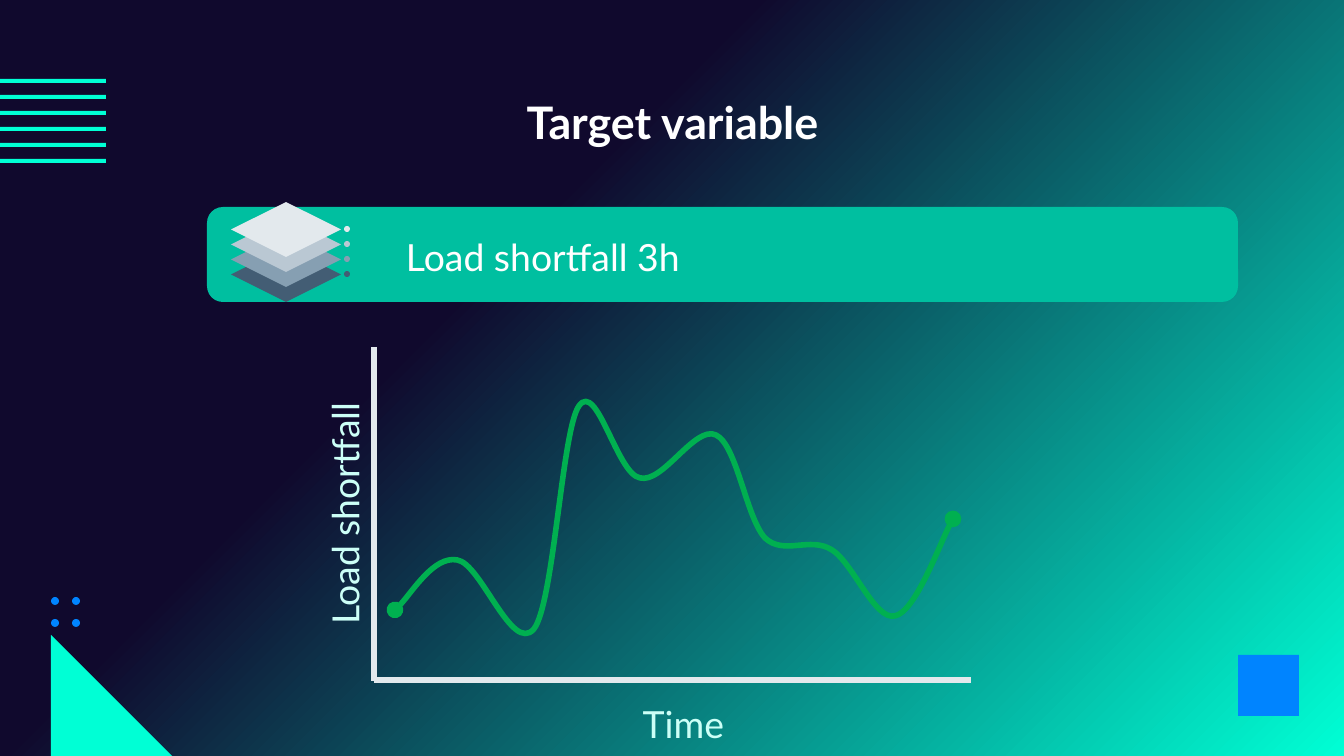
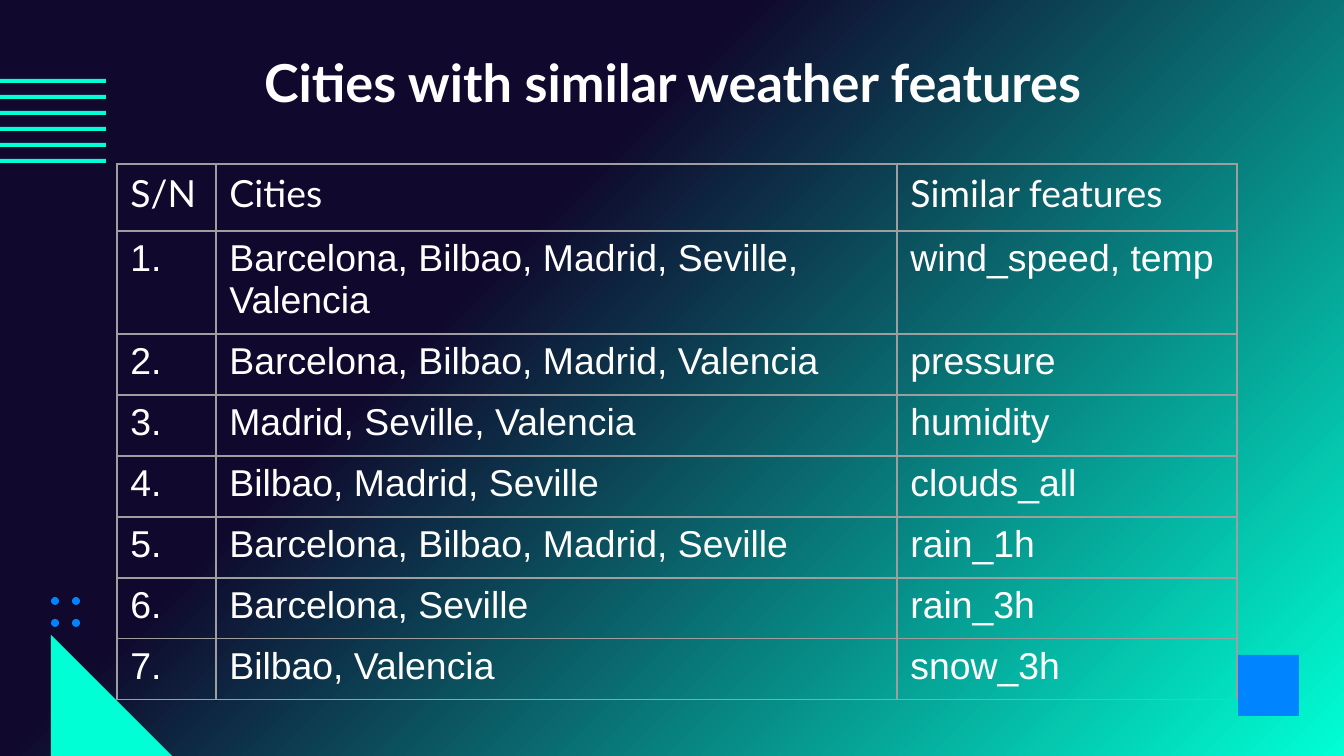
"""Builds two slides on load shortfall: the target variable and the cities table."""
from lxml import etree
from pptx import Presentation
from pptx import util as u
from pptx.dml.color import RGBColor
from pptx.enum import shapes, text
from pptx.oxml.ns import qn

PX = u.Inches(10) / 1344
NAVY, MINT, BLUE, WHITE = "10092D", "00FFD5", "0084FF", "FFFFFF"
TEAL, PALE, GREEN, MIST, GREY = "00BFA0", "CCFFF7", "00B050", "E3E9ED", "9E9E9E"
KIND = shapes.MSO_SHAPE
ink = RGBColor.from_string


def draw(page, kind, box, hue):
    item = page.shapes.add_shape(kind, *[round(n * PX) for n in box])
    item.shadow.inherit = False
    item.fill.solid()
    item.fill.fore_color.rgb = ink(hue)
    item.line.fill.background()


def write(page, box, words, size, hue=WHITE, bold=False, mid=True, turn=0):
    item = page.shapes.add_textbox(*[round(n * PX) for n in box])
    item.rotation = turn
    frame = item.text_frame
    frame.word_wrap = True
    frame.margin_left = frame.margin_right = u.Inches(0.1)
    frame.margin_top = frame.margin_bottom = u.Inches(0.1)
    frame.vertical_anchor = text.MSO_ANCHOR.MIDDLE if mid else text.MSO_ANCHOR.TOP
    para = frame.paragraphs[0]
    para.alignment = text.PP_ALIGN.CENTER
    if not mid:
        para.line_spacing = 1.15
    run = para.add_run()
    run.text = words
    run.font.name = "Lato"
    run.font.size = u.Pt(size)
    run.font.bold = bold
    run.font.color.rgb = ink(hue)


deck = Presentation()
deck.slide_width, deck.slide_height = round(1344 * PX), round(756 * PX)

heads = [("Target variable", 79, 24), ("Cities with similar weather features", 39, 28)]
for words, top, size in heads:
    page = deck.slides.add_slide(deck.slide_layouts[6])
    back = page.background.fill
    back.gradient()
    back.gradient_angle = 315
    for stop, place, hue in zip(back.gradient_stops, (0.36, 1), (NAVY, MINT)):
        stop.position = place
        stop.color.rgb = ink(hue)
    draw(page, KIND.RECTANGLE, (1238, 655, 61, 61), BLUE)
    draw(page, KIND.RIGHT_TRIANGLE, (51, 635, 122, 122), MINT)
    for x in (51, 72):
        for y in (597, 619):
            draw(page, KIND.OVAL, (x, y, 8, 8), BLUE)
    for i in range(6):
        draw(page, KIND.RECTANGLE, (-238, 79 + 16 * i, 344, 4), MINT)
    write(page, (106, top, 1133, 85), words, size, bold=True)

goal, towns = deck.slides

draw(goal, KIND.ROUNDED_RECTANGLE, (207, 207, 1031, 95), TEAL)
for i, hue in enumerate(("435D74", "869FB2", "BAC8D3", MIST)):
    y = 247 - 15 * i
    draw(goal, KIND.DIAMOND, (231, y, 110, 55), hue)
    draw(goal, KIND.OVAL, (344, y + 24, 6, 6), hue)

start = (395, 610)
bends = [
    [(406, 602), (434, 556), (457, 560)],
    [(481, 563), (512, 655), (534, 629)],
    [(554, 603), (562, 430), (579, 406)],
    [(597, 380), (617, 474), (640, 478)],
    [(663, 484), (695, 425), (716, 435)],
    [(737, 445), (746, 517), (765, 538)],
    [(784, 556), (810, 536), (832, 550)],
    [(853, 563), (875, 621), (895, 616)],
    [(915, 612), (943, 535), (953, 519)],
]
knots = [bend[-1] for bend in bends]
left = min(x for x, y in [start] + knots)
top = min(y for x, y in [start] + knots)
form = goal.shapes.build_freeform(*start, scale=PX)
form.add_line_segments(knots, close=False)
curve = form.convert_to_shape()
curve.shadow.inherit = False
curve.fill.background()
curve.line.color.rgb = ink(GREEN)
curve.line.width = u.Pt(3)
for leg, bend in zip(list(curve._element.iter(qn("a:lnTo"))), bends):
    arc = etree.Element(qn("a:cubicBezTo"))
    for x, y in bend:
        etree.SubElement(arc, qn("a:pt"), x=str(x - left), y=str(y - top))
    leg.getparent().replace(leg, arc)
edge = curve._element.spPr.find(qn("a:ln"))
for end in ("a:headEnd", "a:tailEnd"):
    etree.SubElement(edge, qn(end), type="oval")

for ends in ((374, 347, 374, 681), (374, 680, 971, 680)):
    axis = goal.shapes.add_connector(
        shapes.MSO_CONNECTOR.STRAIGHT, *[round(n * PX) for n in ends])
    axis.line.color.rgb = ink(MIST)
    axis.line.width = u.Pt(3)
    etree.SubElement(axis._element.spPr, qn("a:effectLst"))

write(goal, (346, 218, 394, 78), "Load shortfall 3h", 20)
write(goal, (187, 478, 301, 71), "Load shortfall", 20, PALE, mid=False, turn=270)
write(goal, (550, 681, 267, 59), "Time", 20, PALE, mid=False)

rows = [
    ("S/N", "Cities", "Similar features"),
    ("1.", "Barcelona, Bilbao, Madrid, Seville, Valencia", "wind_speed, temp"),
    ("2.", "Barcelona, Bilbao, Madrid, Valencia", "pressure"),
    ("3.", "Madrid, Seville, Valencia", "humidity"),
    ("4.", "Bilbao, Madrid, Seville", "clouds_all"),
    ("5.", "Barcelona, Bilbao, Madrid, Seville", "rain_1h"),
    ("6.", "Barcelona, Seville", "rain_3h"),
    ("7.", "Bilbao, Valencia", "snow_3h"),
]
box = (117, 164, 1120, 494)
grid = towns.shapes.add_table(len(rows), 3, *[round(n * PX) for n in box]).table
grid.first_row = grid.horz_banding = False
for col, wide in zip(grid.columns, (99, 681, 340)):
    col.width = round(wide * PX)
for r, row in enumerate(rows):
    grid.rows[r].height = round((61 if r else 67) * PX)
    for c, words in enumerate(row):
        cell = grid.cell(r, c)
        props = cell._tc.get_or_add_tcPr()
        for side in "LRTB":
            rule = etree.SubElement(props, qn("a:ln" + side), w=str(u.Pt(0.75)))
            paint = etree.SubElement(rule, qn("a:solidFill"))
            etree.SubElement(paint, qn("a:srgbClr"), val=GREY)
        cell.fill.background()
        run = cell.text_frame.paragraphs[0].add_run()
        run.text = words
        run.font.name = "Arial" if r else "Lato"
        run.font.size = u.Pt(20)
        run.font.color.rgb = ink(WHITE)

deck.save("out.pptx")
